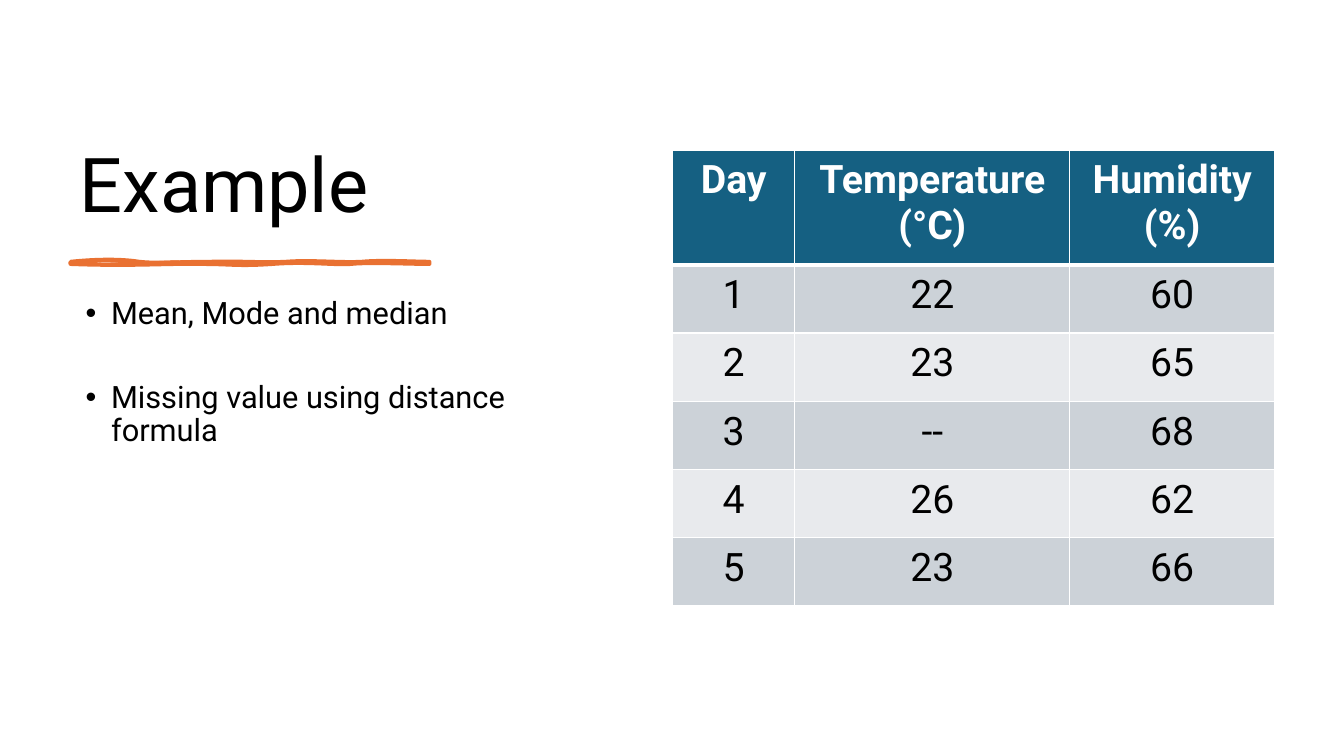
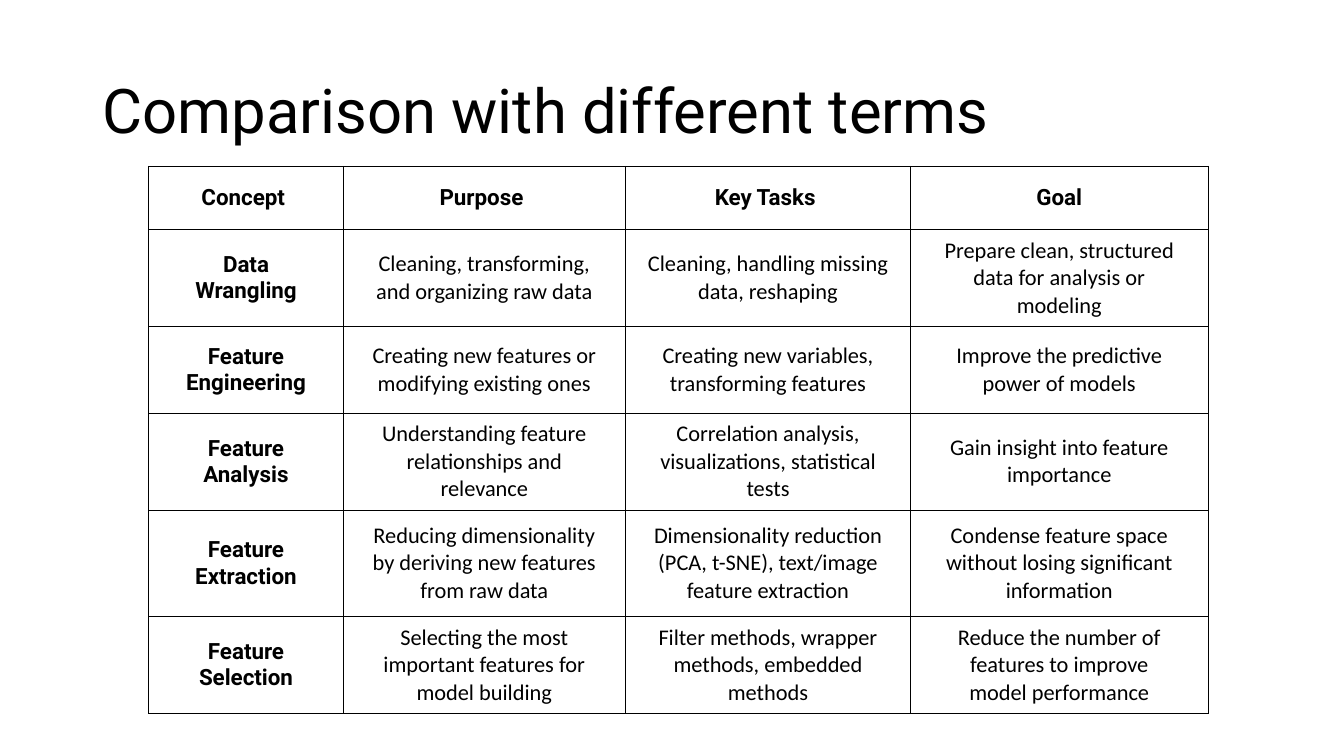
"""Build two slides: a missing-value example and a comparison of feature terms."""
from copy import deepcopy
from dataclasses import dataclass

from lxml.etree import SubElement
from pptx import Presentation
from pptx.dml.color import RGBColor
from pptx.enum.text import MSO_ANCHOR as Anchor, PP_ALIGN as Align
from pptx.oxml.ns import qn
from pptx.util import Cm, Pt


@dataclass(frozen=True)
class Theme:
    heading_font: str = "Roboto"
    body_font: str = "Calibri"
    black: str = "000000"
    white: str = "FFFFFF"
    header: str = "156082"
    bands: tuple = ("CCD2D8", "E8EAED")
    accent: str = "E97132"
    large_title: int = 54
    title: int = 44
    bullet: int = 22
    large_cell: int = 28
    cell: int = 16
    line_spacing: float = 0.9
    bullet_gap: int = 36


THEME = Theme()

BULLETS = ["Mean, Mode and median", "Missing value using distance formula"]

WEATHER = [
    ("Day", "Temperature (°C)", "Humidity (%)"),
    ("1", "22", "60"),
    ("2", "23", "65"),
    ("3", "--", "68"),
    ("4", "26", "62"),
    ("5", "23", "66"),
]

TERMS = [
    ("Concept ", "Purpose ", "Key Tasks ", "Goal"),
    ("Data|Wrangling", "Cleaning, transforming,|and organizing raw data",
     "Cleaning, handling missing|data, reshaping",
     "Prepare clean, structured|data for analysis or|modeling"),
    ("Feature|Engineering", "Creating new features or|modifying existing ones",
     "Creating new variables,|transforming features",
     "Improve the predictive|power of models"),
    ("Feature|Analysis", "Understanding feature|relationships and|relevance",
     "Correlation analysis,|visualizations, statistical|tests",
     "Gain insight into feature|importance"),
    ("Feature|Extraction",
     "Reducing dimensionality|by deriving new features|from raw data",
     "Dimensionality reduction|(PCA, t-SNE), text/image|feature extraction",
     "Condense feature space|without losing significant|information"),
    ("Feature|Selection",
     "Selecting the most|important features for|model building",
     "Filter methods, wrapper|methods, embedded|methods",
     "Reduce the number of|features to improve|model performance"),
]

STROKE_START = (1.78, 6.6)
STROKE_OUTLINE = [
    ((2.46, 6.53), (3.07, 6.53), (3.51, 6.6)),
    ((3.94, 6.65), (4.5, 6.6), (5.31, 6.6)),
    ((6.12, 6.58), (6.6, 6.63), (7.21, 6.6)),
    ((7.82, 6.55), (8.61, 6.63), (9.12, 6.6)),
    ((9.63, 6.55), (10.46, 6.6), (10.82, 6.6)),
    ((10.82, 6.6), (10.82, 6.63), (10.82, 6.65)),
    ((10.36, 6.65), (9.25, 6.6), (8.84, 6.65)),
    ((8.43, 6.68), (7.72, 6.58), (6.86, 6.65)),
    ((5.97, 6.71), (5.87, 6.65), (5.05, 6.65)),
    ((4.22, 6.63), (3.35, 6.71), (1.78, 6.65)),
    ((1.78, 6.63), (1.78, 6.6), (1.78, 6.6)),
]
STROKE_FILL = [
    ((2.59, 6.65), (2.79, 6.6), (3.51, 6.6)),
    ((4.22, 6.58), (4.29, 6.53), (5.05, 6.6)),
    ((5.79, 6.65), (6.63, 6.63), (7.04, 6.6)),
    ((7.44, 6.55), (8.31, 6.65), (8.74, 6.6)),
    ((9.19, 6.53), (10.08, 6.68), (10.82, 6.6)),
    ((10.82, 6.6), (10.82, 6.63), (10.82, 6.65)),
    ((10.46, 6.63), (9.45, 6.71), (9.02, 6.65)),
    ((8.59, 6.58), (7.85, 6.65), (7.04, 6.65)),
    ((6.2, 6.63), (6.1, 6.6), (5.49, 6.65)),
    ((4.9, 6.68), (4.55, 6.63), (3.68, 6.65)),
    ((2.82, 6.65), (2.34, 6.63), (1.78, 6.65)),
    ((1.78, 6.63), (1.78, 6.6), (1.78, 6.6)),
]


def color(value):
    return RGBColor.from_string(value)


def style_runs(para, size, font, ink=THEME.black, bold=False):
    for span in para.runs:
        span.font.size = Pt(size)
        span.font.name = font
        span.font.bold = bold
        span.font.color.rgb = color(ink)


def add_text(page, place, lines, size, anchor=Anchor.TOP):
    box = page.shapes.add_textbox(*map(Cm, place))
    frame = box.text_frame
    frame.word_wrap = True
    frame.vertical_anchor = anchor
    frame.text = "\n".join(lines)
    for para in frame.paragraphs:
        para.line_spacing = THEME.line_spacing
        style_runs(para, size, THEME.heading_font)
    return frame


def add_bullets(page, place, lines):
    frame = add_text(page, place, lines, THEME.bullet)
    for para in frame.paragraphs:
        para.space_after = Pt(THEME.bullet_gap)
        properties = para._p.get_or_add_pPr()
        properties.set("marL", str(Cm(0.79)))
        properties.set("indent", str(-Cm(0.64)))
        SubElement(properties, qn("a:buFont"), typeface="Arial")
        SubElement(properties, qn("a:buChar"), char="•")


def bend(segment, controls):
    segment.tag = qn("a:cubicBezTo")
    for index, control in enumerate(controls):
        x, y = (str(Cm(value) - Cm(start)) for value, start in zip(control, STROKE_START))
        segment.insert(index, segment.makeelement(qn("a:pt"), {"x": x, "y": y}))


def add_stroke(page):
    start = tuple(map(Cm, STROKE_START))
    builder = page.shapes.build_freeform(*start)
    builder.add_line_segments([tuple(map(Cm, end)) for *_, end in STROKE_OUTLINE])
    builder.move_to(*start)
    builder.add_line_segments([tuple(map(Cm, end)) for *_, end in STROKE_FILL])
    stroke = builder.convert_to_shape()
    stroke.shadow.inherit = False
    stroke.fill.solid()
    stroke.fill.fore_color.rgb = stroke.line.color.rgb = color(THEME.accent)
    stroke.line.width = Pt(3)
    outline = next(stroke._element.iter(qn("a:path")))
    for segment, curve in zip(outline.findall(qn("a:lnTo")), STROKE_OUTLINE + STROKE_FILL):
        bend(segment, curve[:2])
    inside = deepcopy(outline)
    outline.addnext(inside)
    split = list(outline).index(outline.findall(qn("a:moveTo"))[1])
    for contour, surplus in ((outline, outline[split:]), (inside, inside[:split])):
        for step in surplus:
            contour.remove(step)
    outline.set("fill", "none")
    inside.set("stroke", "0")


def set_border(cell, side, ink, points):
    line = SubElement(cell._tc.get_or_add_tcPr(), qn(f"a:ln{side}"), w=str(Pt(points)))
    SubElement(SubElement(line, qn("a:solidFill")), qn("a:srgbClr"), val=ink)


def add_grid(page, corner, widths, heights, rows, style_cell):
    size = (sum(widths), sum(heights))
    table = page.shapes.add_table(len(rows), len(widths), *map(Cm, corner + size)).table
    table.first_row = table.horz_banding = False
    for column, width in zip(table.columns, widths):
        column.width = Cm(width)
    for row, height in zip(table.rows, heights):
        row.height = Cm(height)
    for i, texts in enumerate(rows):
        for j, text in enumerate(texts):
            cell = table.cell(i, j)
            cell.text_frame.text = text.replace("|", "\v")
            cell.text_frame.paragraphs[0].alignment = Align.CENTER
            style_cell(cell, i, j)


def style_weather(cell, i, j):
    header = i == 0
    cell.margin_left = cell.margin_right = Cm(0.38)
    cell.margin_top = cell.margin_bottom = Cm(0.19)
    style_runs(cell.text_frame.paragraphs[0], THEME.large_cell, THEME.heading_font,
               THEME.white if header else THEME.black, header)
    thick = {(0, "B"), (1, "T")}
    for side in "LRTB":
        set_border(cell, side, THEME.white, 3 if (i, side) in thick else 1)
    cell.fill.solid()
    cell.fill.fore_color.rgb = color(THEME.header if header else THEME.bands[(i - 1) % 2])


def style_terms(cell, i, j):
    label = i == 0 or j == 0
    cell.vertical_anchor = Anchor.MIDDLE
    style_runs(cell.text_frame.paragraphs[0], THEME.cell,
               THEME.heading_font if label else THEME.body_font, bold=label)
    for side in "LRTB":
        set_border(cell, side, THEME.black, 0.5)
    cell.fill.background()


def build_example(page):
    add_text(page, (1.76, 1.78, 13.39, 4.11), ["Example"], THEME.large_title, Anchor.BOTTOM)
    add_stroke(page)
    add_bullets(page, (1.76, 7.39, 13.39, 9.86), BULLETS)
    add_grid(page, (16.95, 3.78), (3.08, 6.93, 5.16), (2.89,) + (1.72,) * 5,
             WEATHER, style_weather)


def build_comparison(page):
    add_text(page, (2.34, 1.02, 29.21, 3.68), ["Comparison with different terms"],
             THEME.title, Anchor.MIDDLE)
    add_grid(page, (3.75, 4.19), (4.9, 7.11, 7.19, 7.49),
             (1.6, 2.43, 2.19, 2.44, 2.69, 2.44), TERMS, style_terms)


def main():
    deck = Presentation()
    deck.slide_width, deck.slide_height = Cm(33.87), Cm(19.05)
    for build in (build_example, build_comparison):
        build(deck.slides.add_slide(deck.slide_layouts[6]))
    deck.save("out.pptx")


if __name__ == "__main__":
    main()
